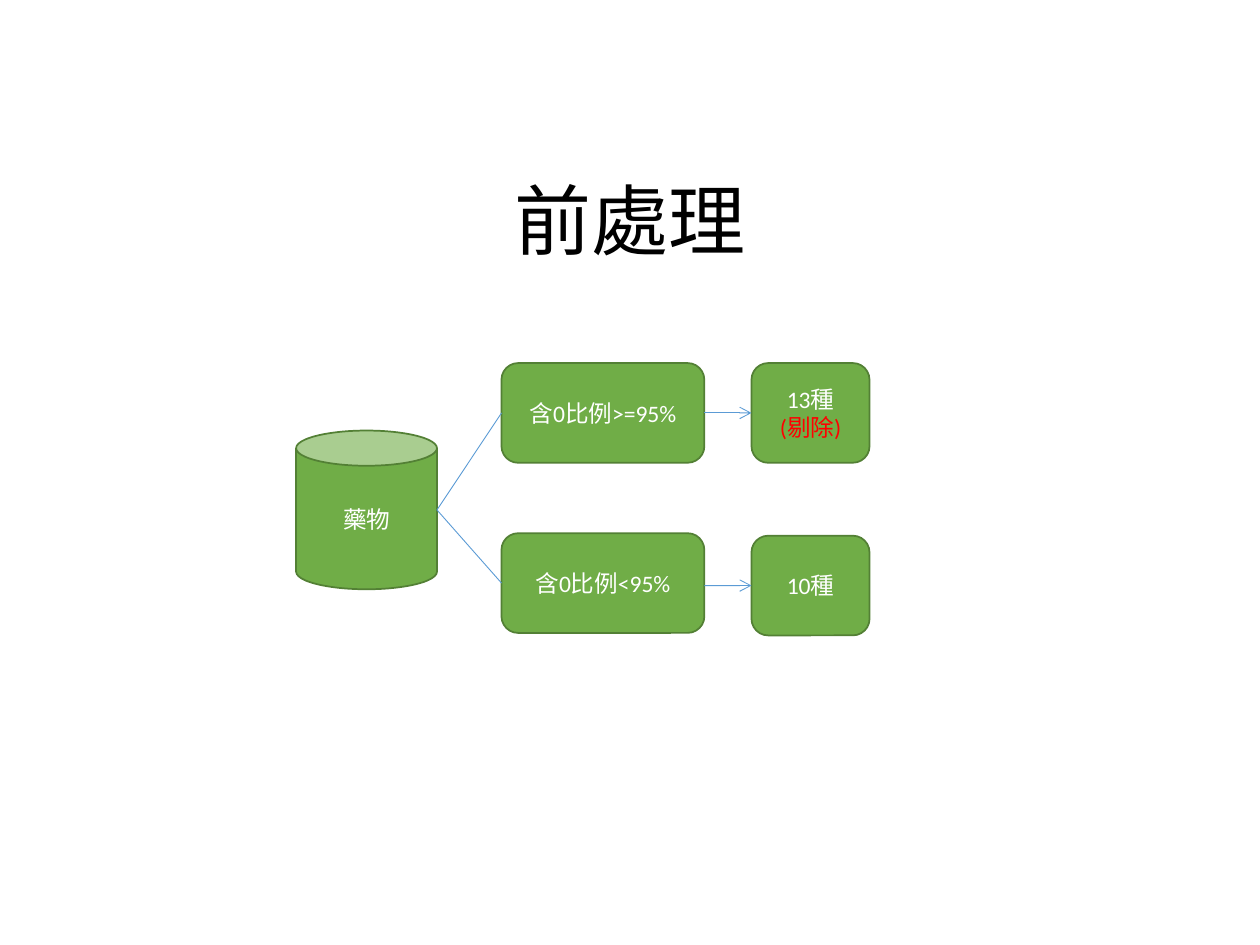
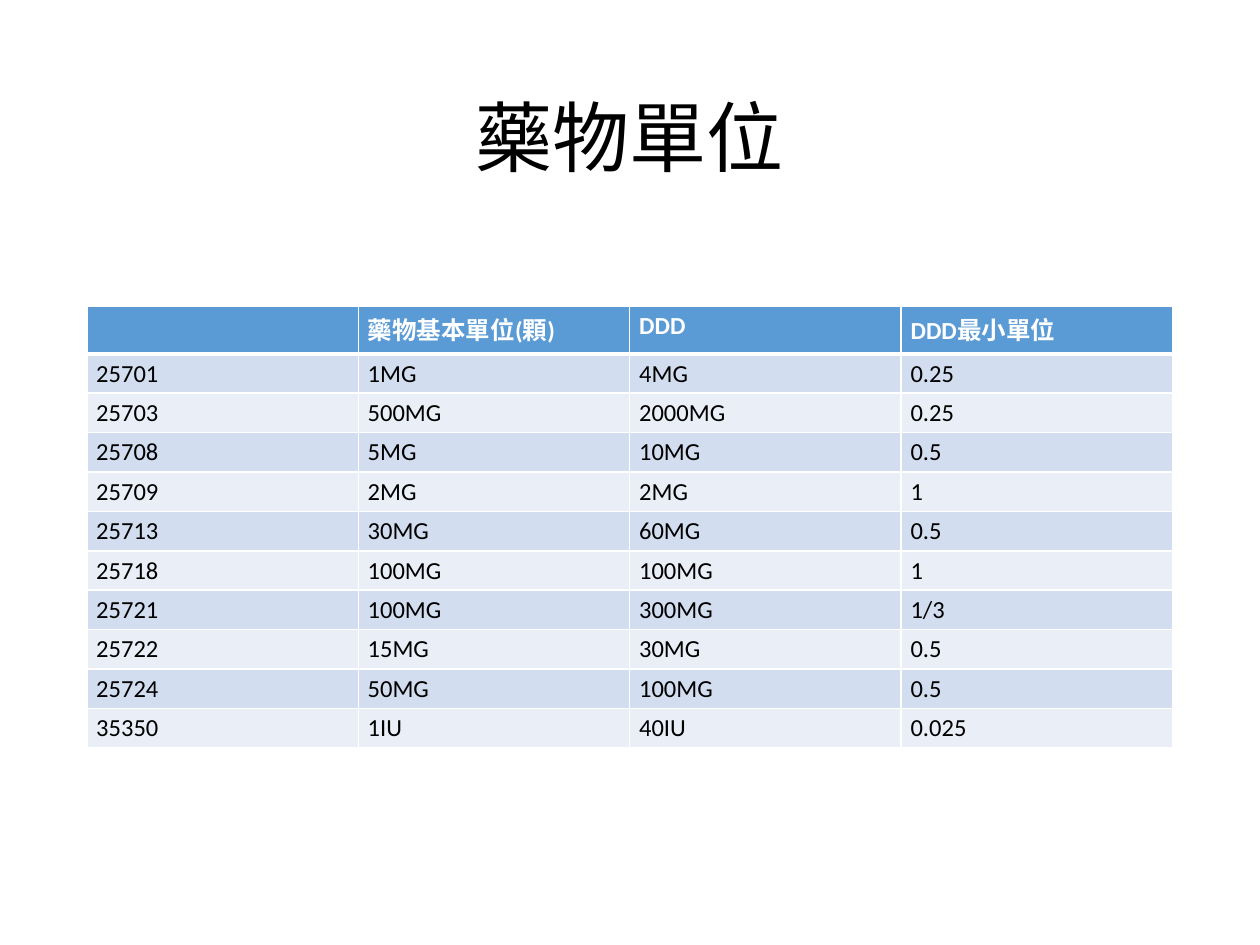
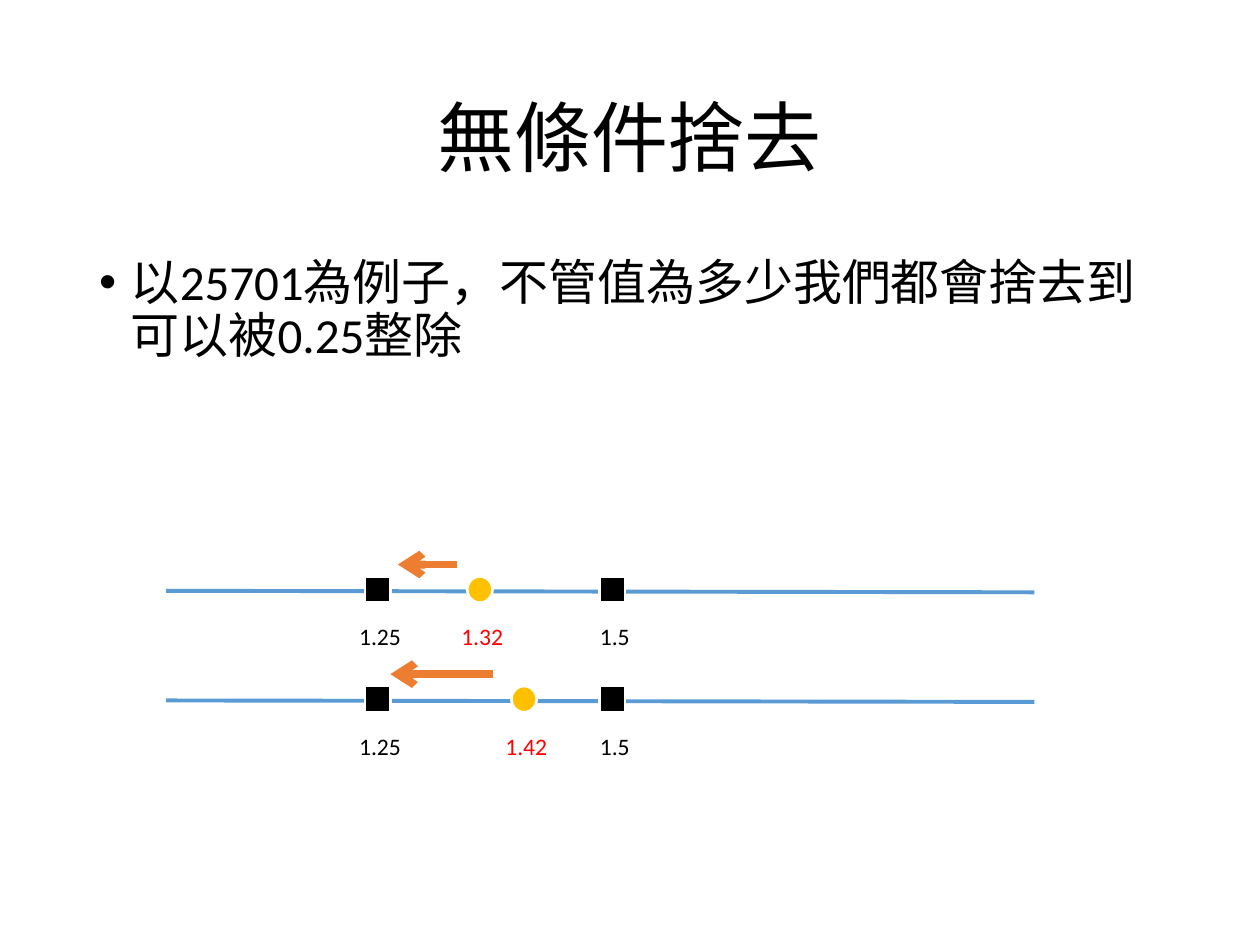
from dataclasses import dataclass

from lxml.etree import SubElement
from pptx import Presentation
from pptx.dml.color import RGBColor
from pptx.enum.shapes import MSO_CONNECTOR, MSO_SHAPE
from pptx.enum.text import MSO_ANCHOR, MSO_AUTO_SIZE, PP_ALIGN
from pptx.oxml.ns import qn
from pptx.util import Cm, Pt


@dataclass(frozen=True)
class Theme:
    font: str = "Calibri"
    title: float = 44
    body: float = 28
    cell: float = 14
    note: float = 13.5
    black: str = "000000"
    white: str = "FFFFFF"
    red: str = "FF0000"
    green: str = "70AD47"
    moss: str = "538035"
    blue: str = "5B9BD5"
    gold: str = "FFC000"
    rust: str = "ED7D31"
    bands: tuple = ("EAEFF7", "D2DEEF")


T = Theme()

# Boxes are left, top, width, height in centimetres
COVER = (1.75, 3.15, 21.89, 2.77)
HEAD = (1.75, 1.02, 21.89, 3.68)
BODY = (1.75, 5.08, 21.89, 12.09)
FLOW = (5.97, 7.32, 11.56, 5.49)
GRID = (1.75, 6.17, 21.89, 8.51)
SCALE = (3.35, 11.38, 17.5, 1.88)
PITCH = 2.21

DOSES = [
    ("", "藥物基本單位(顆)", "DDD", "DDD最小單位"),
    ("25701", "1MG", "4MG", "0.25"),
    ("25703", "500MG", "2000MG", "0.25"),
    ("25708", "5MG", "10MG", "0.5"),
    ("25709", "2MG", "2MG", "1"),
    ("25713", "30MG", "60MG", "0.5"),
    ("25718", "100MG", "100MG", "1"),
    ("25721", "100MG", "300MG", "1/3"),
    ("25722", "15MG", "30MG", "0.5"),
    ("25724", "50MG", "100MG", "0.5"),
    ("35350", "1IU", "40IU", "0.025"),
]


# Shared helpers
def put(item, fmt):
    for name, value in fmt.items():
        setattr(item, name, value)


def paint(fill, color):
    fill.solid()
    fill.fore_color.rgb = RGBColor.from_string(color)


def place(box):
    return [Cm(side) for side in box]


def write(frame, lines, size, bold=False, **para):
    """Fill a text frame with (text, colour) lines."""
    for i, (text, color) in enumerate(lines):
        p = frame.paragraphs[0] if i == 0 else frame.add_paragraph()
        put(p, para)
        run = p.add_run()
        run.text = text
        put(run.font, {"name": T.font, "size": Pt(size), "bold": bold})
        run.font.color.rgb = RGBColor.from_string(color)


def shape(slide, kind, box, fill, edge, width):
    item = slide.shapes.add_shape(kind, *place(box))
    item.shadow.inherit = False
    paint(item.fill, fill)
    paint(item.line.fill, edge)
    item.line.width = Pt(width)
    return item


def wire(slide, start, end, color, width, arrow=False, begin=None, stop=None):
    """Draw a line; begin and stop are (shape, side) joints."""
    line = slide.shapes.add_connector(MSO_CONNECTOR.STRAIGHT, *place(start + end))
    if begin:
        line.begin_connect(*begin)
    if stop:
        line.end_connect(*stop)
    paint(line.line.fill, color)
    line.line.width = Pt(width)
    if arrow:
        SubElement(line.line._get_or_add_ln(), qn("a:tailEnd"), type="arrow")
    SubElement(line._element.spPr, qn("a:effectLst"))


def title(slide, box, text):
    frame = slide.shapes.add_textbox(*place(box)).text_frame
    put(frame, {"word_wrap": True, "vertical_anchor": MSO_ANCHOR.MIDDLE})
    write(frame, [(text, T.black)], T.title,
          alignment=PP_ALIGN.CENTER, line_spacing=0.9)


# Flow from the drug store to the two groups
def node(slide, kind, box, *lines):
    item = shape(slide, kind, box, T.green, T.moss, 1)
    put(item.text_frame, {"word_wrap": True, "vertical_anchor": MSO_ANCHOR.MIDDLE})
    write(item.text_frame, lines, T.note, alignment=PP_ALIGN.CENTER)
    return item


def flow(slide, box):
    x, y, w, h = box
    tall, wide = 2.01, 4.09
    left, right = x + 4.14, x + 9.18
    hub = (x + 2.84, y + 2.96)
    node(slide, MSO_SHAPE.CAN, (x, y + 1.36, 2.84, 3.2), ("藥物", T.white))
    rows = [
        (0, 0, "含0比例>=95%", [("13種", T.white), ("(剔除)", T.red)]),
        (3.43, 3.48, "含0比例<95%", [("10種", T.white)]),
    ]
    for near, far, rule, count in rows:
        test = node(slide, MSO_SHAPE.ROUNDED_RECTANGLE,
                    (left, y + near, wide, tall), (rule, T.white))
        group = node(slide, MSO_SHAPE.ROUNDED_RECTANGLE,
                     (right, y + far, x + w - right, tall), *count)
        wire(slide, hub, (left, y + near + tall / 2), T.blue, 0.5, stop=(test, 1))
        mid = y + far + tall / 2
        wire(slide, (left + wide, mid), (right, mid), T.blue, 0.5, arrow=True,
             begin=(test, 3) if near == far else None, stop=(group, 1))


# Table of drug units
def border(cell, low):
    props = cell._tc.get_or_add_tcPr()
    for side, width in zip("LRTB", (1, 1, 1, low)):
        line = SubElement(props, qn(f"a:ln{side}"), w=str(Pt(width)))
        fill = SubElement(line, qn("a:solidFill"))
        SubElement(fill, qn("a:srgbClr"), val=T.white)


def grid(slide, box, rows):
    table = slide.shapes.add_table(len(rows), len(rows[0]), *place(box)).table
    inset = {"margin_left": Cm(0.19), "margin_right": Cm(0.19),
             "margin_top": Cm(0.1), "margin_bottom": Cm(0.1)}
    for r, row in enumerate(rows):
        top = r == 0
        for c, text in enumerate(row):
            cell = table.cell(r, c)
            put(cell, inset)
            border(cell, 3 if top else 1)
            paint(cell.fill, T.blue if top else T.bands[r % 2])
            if text:
                write(cell.text_frame, [(text, T.white if top else T.black)],
                      T.cell, bold=top)


# Bulleted text
def point(slide, box, text):
    frame = slide.shapes.add_textbox(*place(box)).text_frame
    frame.word_wrap = True
    write(frame, [(text, T.black)], T.body, line_spacing=0.9, space_before=Pt(10))
    props = frame.paragraphs[0]._p.get_or_add_pPr()
    props.set("marL", str(Cm(0.64)))
    props.set("indent", str(-Cm(0.64)))
    SubElement(props, qn("a:buFont"), typeface="Arial")
    SubElement(props, qn("a:buChar"), char="•")


# Number line with its marks and rounding arrow
def scale(slide, box, value, spot, arrow):
    x, y, w, h = box
    wire(slide, (x, y + 0.53), (x + w, y + 0.56), T.blue, 2.25)
    square, dot = MSO_SHAPE.RECTANGLE, MSO_SHAPE.OVAL
    marks = [
        (dot, spot, value, T.gold, T.red),
        (square, 4.01, "1.25", T.black, T.black),
        (square, 8.74, "1.5", T.black, T.black),
    ]
    size, high = 0.51, 0.84
    for kind, at, text, fill, ink in marks:
        shape(slide, kind, (x + at, y + 0.24, size, 0.53), fill, T.white, 1.5)
        wide = 0.37 + 0.25 * len(text)
        mid = x + at + size / 2 + 0.06
        label = slide.shapes.add_textbox(
            *place((mid - wide / 2, y + h - high, wide, high)))
        put(label.text_frame, {"word_wrap": False,
                               "auto_size": MSO_AUTO_SIZE.SHAPE_TO_FIT_TEXT})
        write(label.text_frame, [(text, ink)], T.note)
    tail, tip = arrow
    wire(slide, (x + tail, y), (x + tip, y), T.rust, 4.5, arrow=True)


def main():
    deck = Presentation()
    put(deck, {"slide_width": Cm(25.4), "slide_height": Cm(19.05)})
    first, second, third = [
        deck.slides.add_slide(deck.slide_layouts[6]) for _ in range(3)]

    title(first, COVER, "前處理")
    flow(first, FLOW)

    title(second, HEAD, "藥物單位")
    grid(second, GRID, DOSES)

    title(third, HEAD, "無條件捨去")
    point(third, BODY, "以25701為例子，不管值為多少我們都會捨去到可以被0.25整除")
    x, y, w, h = SCALE
    cases = [("1.32", 6.07, (5.87, 4.67)), ("1.42", 6.96, (6.58, 4.52))]
    for i, case in enumerate(cases):
        scale(third, (x, y + i * PITCH, w, h), *case)

    deck.save("out.pptx")


if __name__ == "__main__":
    main()
